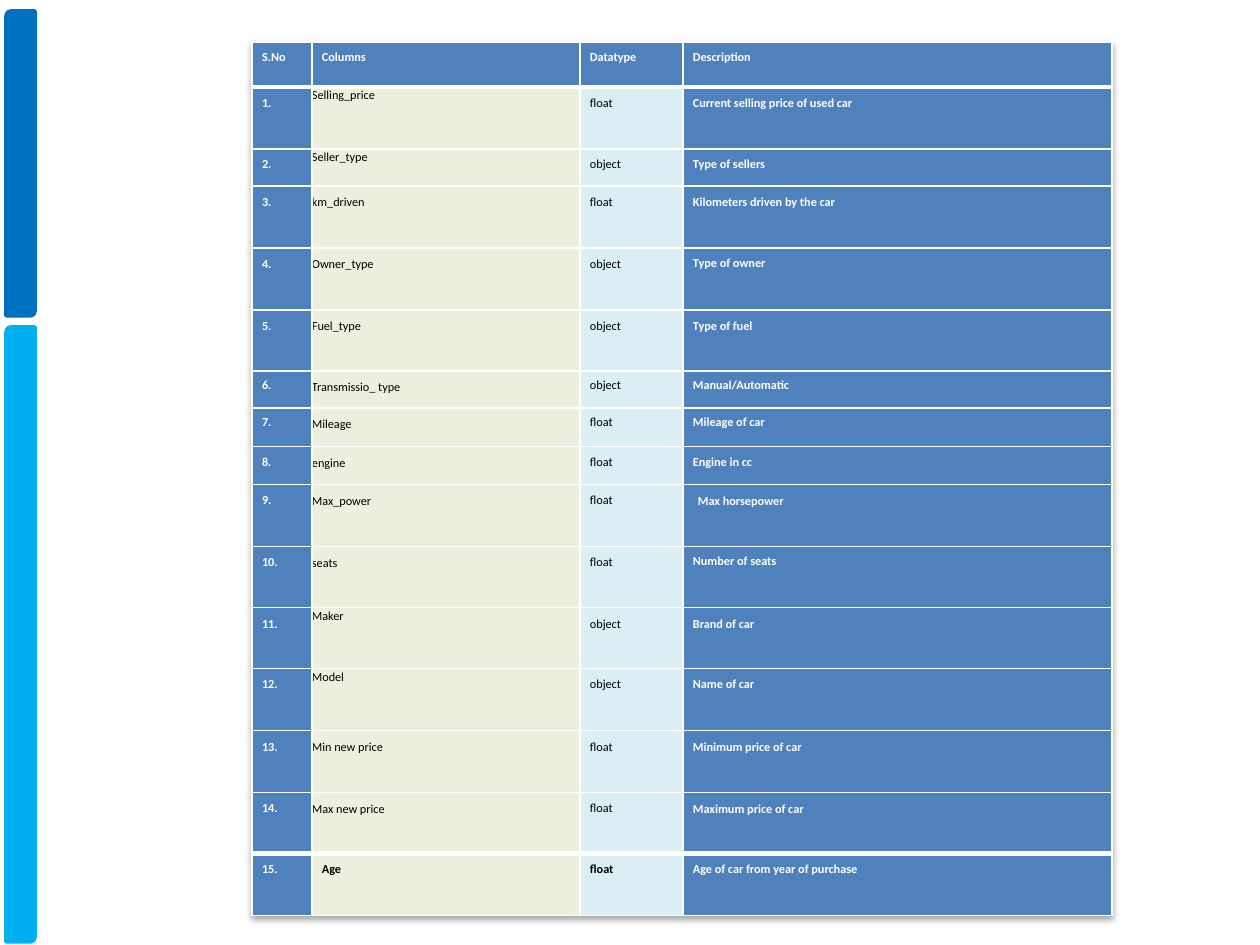
from dataclasses import dataclass

from lxml import etree
from pptx import Presentation
from pptx import util as u
from pptx.dml import color
from pptx.enum import shapes
from pptx.oxml import ns

PX_PER_INCH = 126
COLORS = {
    "deep_blue": "0070C0",
    "sky_blue": "00B0F0",
    "header": "4F81BD",
    "name": "EBF1DE",
    "datatype": "DBEEF4",
    "white": "FFFFFF",
    "black": "000000",
}
COLUMN_FILLS = ["header", "name", "datatype", "header"]
COLUMN_WIDTHS = [60, 268, 103, 429]
HEADINGS = ["S.No", "Columns", "Datatype", "Description"]
INDENT = 10
LOOSE = 1.07


@dataclass
class Bar:
    top: int
    height: int
    color: str


@dataclass
class Field:
    name: str
    datatype: str
    description: str
    height: int
    leading: float
    description_leading: float
    name_leading: float = 13.8
    name_indent: int = 0
    description_indent: int = INDENT
    bold: bool = False


@dataclass
class Entry:
    wording: str
    fill: str
    ink: str
    leading: float
    indent: int = INDENT
    bold: bool = True


BARS = [Bar(11, 305, "deep_blue"), Bar(327, 615, "sky_blue")]
FIELDS = [
    Field("Selling_price", "float", "Current selling price of used car", 62, 13.7, 13.8, LOOSE),
    Field("Seller_type", "object", "Type of sellers", 37, 12.9, 12.9, LOOSE),
    Field("km_driven", "float", "Kilometers driven by the car", 62, 13.7, 13.8),
    Field("Owner_type", "object", "Type of owner", 62, 13.5, 12.9),
    Field("Fuel_type", "object", "Type of fuel", 61, 13.7, 13.8),
    Field("Transmissio_ type", "object", "Manual/Automatic", 37, 12.8, 12.8),
    Field("Mileage", "float", "Mileage of car", 39, 12.9, 12.9),
    Field("engine", "float", "Engine in cc", 38, 13.1, 13.1),
    Field("Max_power", "float", "Max horsepower", 62, 13.5, 13.8, description_indent=15),
    Field("seats", "float", "Number of seats", 61, 13.5, 12.9),
    Field("Maker", "object", "Brand of car", 61, 13.7, 13.8, LOOSE),
    Field("Model", "object", "Name of car", 62, 13.5, 13.1, LOOSE),
    Field("Min new price", "float", "Minimum price of car", 62, 13.7, 13.8),
    Field("Max new price", "float", "Maximum price of car", 61, 13.5, 13.7),
    Field("Age", "float", "Age of car from year of purchase", 62, 13.5, 13.5, 13.5, INDENT, bold=True),
]
ROW_HEIGHTS = [45] + [field.height for field in FIELDS]
THICK_RULES = {1, len(FIELDS)}


def px(length: int) -> u.Emu:
    return u.Emu(round(length * 914400 / PX_PER_INCH))


def rgb(name: str) -> color.RGBColor:
    return color.RGBColor.from_string(COLORS[name])


def add_bar(page, bar: Bar) -> None:
    shape = page.shapes.add_shape(
        shapes.MSO_SHAPE.ROUND_2_DIAG_RECTANGLE, px(6), px(bar.top), px(29), px(bar.height)
    )
    shape.shadow.inherit = False
    shape.fill.solid()
    shape.fill.fore_color.rgb = rgb(bar.color)
    shape.line.color.rgb = rgb(bar.color)
    shape.line.width = u.Pt(2)


def add_borders(cell, row: int) -> None:
    widths = {
        "lnL": 1,
        "lnR": 1,
        "lnT": 3 if row in THICK_RULES else 1,
        "lnB": 3 if row + 1 in THICK_RULES else 1,
    }
    properties = cell._tc.get_or_add_tcPr()
    for position, (side, width) in enumerate(widths.items()):
        border = etree.Element(ns.qn(f"a:{side}"), w=str(u.Pt(width)))
        fill = etree.SubElement(border, ns.qn("a:solidFill"))
        etree.SubElement(fill, ns.qn("a:srgbClr"), val=COLORS["white"])
        properties.insert(position, border)


def fill_cell(cell, entry: Entry, row: int) -> None:
    cell.margin_left = cell.margin_right = cell.margin_top = cell.margin_bottom = 0
    cell.fill.solid()
    cell.fill.fore_color.rgb = rgb(entry.fill)
    add_borders(cell, row)
    para = cell.text_frame.paragraphs[0]
    para._p.get_or_add_pPr().set("marL", str(px(entry.indent)))
    if entry.leading == LOOSE:
        para.line_spacing = LOOSE
        para.space_before = u.Pt(0.1)
    else:
        para.line_spacing = u.Pt(entry.leading)
    span = para.add_run()
    span.text = entry.wording
    span.font.name = "Calibri"
    span.font.size = u.Pt(7)
    span.font.bold = entry.bold
    span.font.color.rgb = rgb(entry.ink)


def field_entries(number: int, field: Field) -> list[Entry]:
    return [
        Entry(f"{number}.", "header", "white", field.leading),
        Entry(field.name, "name", "black", field.name_leading, field.name_indent, field.bold),
        Entry(field.datatype, "datatype", "black", field.leading, bold=field.bold),
        Entry(field.description, "header", "white", field.description_leading, field.description_indent),
    ]


def add_table_shadow(table) -> None:
    effects = etree.Element(ns.qn("a:effectLst"))
    shadow = etree.SubElement(
        effects, ns.qn("a:outerShdw"), blurRad="40000", dist="23000", dir="5400000", rotWithShape="0"
    )
    tint = etree.SubElement(shadow, ns.qn("a:srgbClr"), val=COLORS["black"])
    etree.SubElement(tint, ns.qn("a:alpha"), val="35000")
    table._tbl.tblPr.insert(0, effects)


def add_field_table(page) -> None:
    table = page.shapes.add_table(
        len(ROW_HEIGHTS), len(COLUMN_WIDTHS), px(252), px(42), px(sum(COLUMN_WIDTHS)), px(sum(ROW_HEIGHTS))
    ).table
    table.horz_banding = False
    add_table_shadow(table)
    for column, width in zip(table.columns, COLUMN_WIDTHS):
        column.width = px(width)
    for row, height in zip(table.rows, ROW_HEIGHTS):
        row.height = px(height)
    entries = [[Entry(heading, "header", "white", 12.9) for heading in HEADINGS]]
    entries += [field_entries(number, field) for number, field in enumerate(FIELDS, 1)]
    for row, line in enumerate(entries):
        for column, entry in enumerate(line):
            fill_cell(table.cell(row, column), entry, row)


def main() -> None:
    deck = Presentation()
    deck.slide_width, deck.slide_height = px(1260), px(945)
    page = deck.slides.add_slide(deck.slide_layouts[6])
    for bar in BARS:
        add_bar(page, bar)
    add_field_table(page)
    deck.save("out.pptx")


if __name__ == "__main__":
    main()
